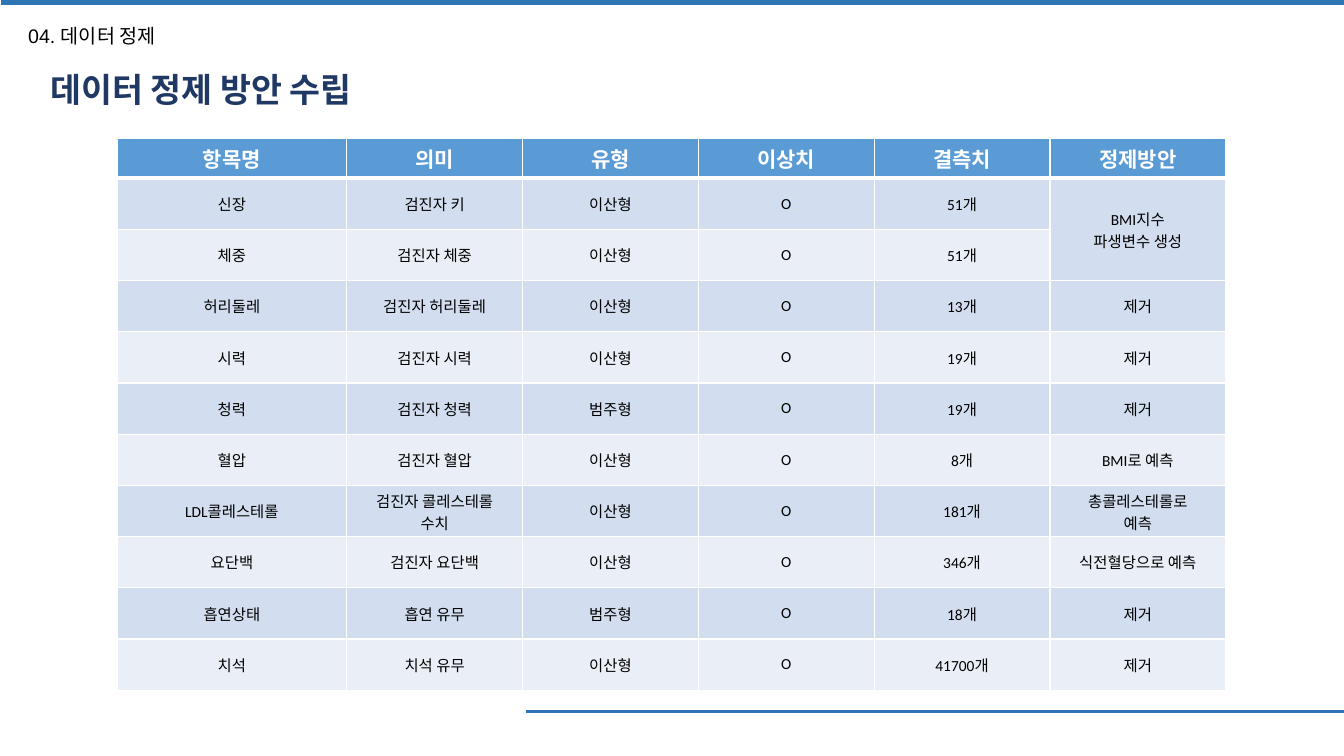
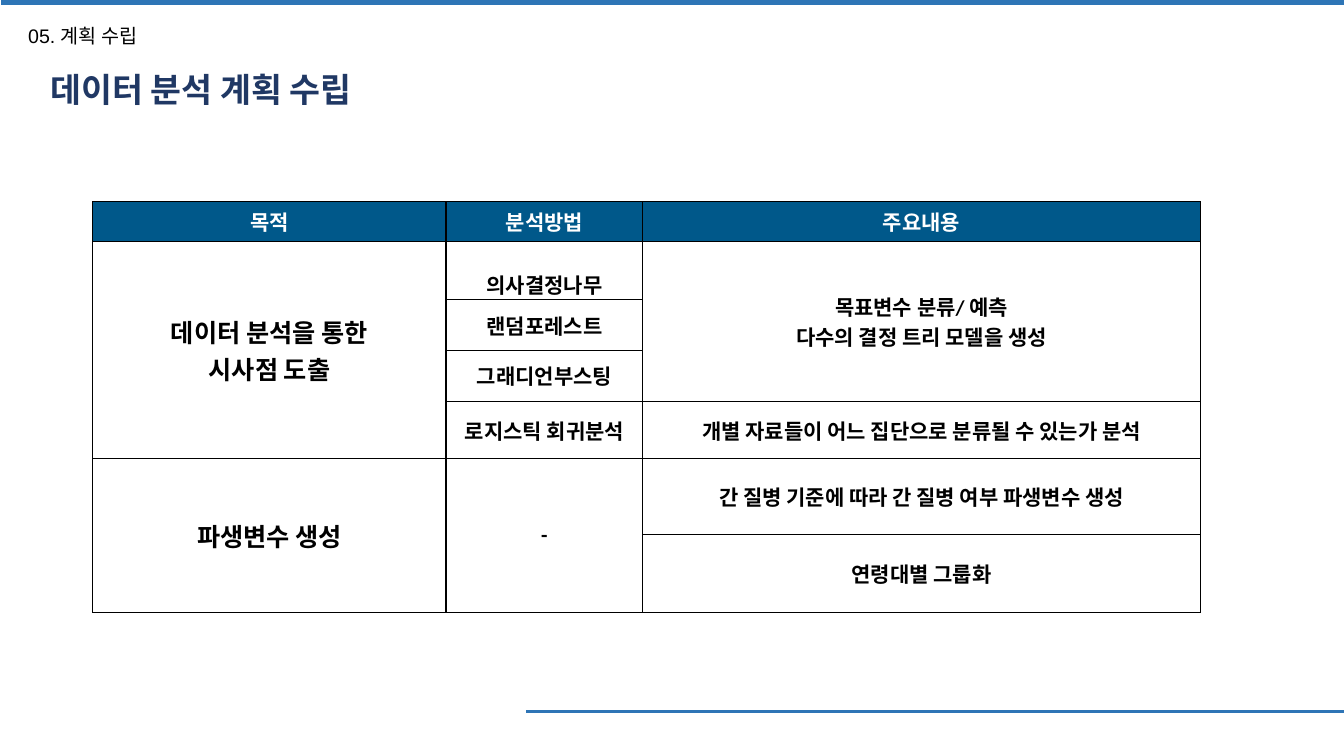
from dataclasses import dataclass
from typing import Optional

import lxml.etree
import pptx
import pptx.dml.color
import pptx.enum.shapes
import pptx.enum.text
import pptx.oxml.ns
import pptx.util

Cm = pptx.util.Cm
Pt = pptx.util.Pt
qn = pptx.oxml.ns.qn

COLORS = {
    "title": "203864",
    "rule": "2E75B6",
    "text": "000000",
    "white": "FFFFFF",
    "cleaning_header": "5B9BD5",
    "band_dark": "D2DEEF",
    "band_light": "EAEFF7",
    "plan_header": "00588A",
}
SLIDE_WIDTH, SLIDE_HEIGHT = Cm(33.87), Cm(19.05)
TITLE_ONLY_LAYOUT = 5


@dataclass(frozen=True)
class Rule:
    """A horizontal line running to the right edge of the slide."""
    left: float
    y: float
    weight: float


@dataclass(frozen=True)
class TableDesign:
    left: float
    top: float
    columns: list[float]
    rows: list[float]
    header_fill: str
    body_fills: tuple[str, ...]
    border: str
    header_rule: float
    body_size: float
    body_bold: bool


RULES = [Rule(13.26, 17.93, 2.25), Rule(0.03, 0.05, 4.5)]

# Data cleaning table: None continues the cell above
CLEANING_ROWS = [
    ["항목명", "의미", "유형", "이상치", "결측치", "정제방안"],
    ["신장", "검진자 키", "이산형", "O", "51개", "BMI지수\n파생변수 생성"],
    ["체중", "검진자 체중", "이산형", "O", "51개", None],
    ["허리둘레", "검진자 허리둘레", "이산형", "O", "13개", "제거"],
    ["시력", "검진자 시력", "이산형", "O", "19개", "제거"],
    ["청력", "검진자 청력", "범주형", "O", "19개", "제거"],
    ["혈압", "검진자 혈압", "이산형", "O", "8개", "BMI로 예측"],
    ["LDL콜레스테롤", "검진자 콜레스테롤\n수치", "이산형", "O", "181개",
     "총콜레스테롤로\n예측"],
    ["요단백", "검진자 요단백", "이산형", "O", "346개", "식전혈당으로 예측"],
    ["흡연상태", "흡연 유무", "범주형", "O", "18개", "제거"],
    ["치석", "치석 유무", "이산형", "O", "41700개", "제거"],
]
CLEANING_DESIGN = TableDesign(
    left=2.95, top=3.48, columns=[5.79] + [4.43] * 5, rows=[1.01] + [1.29] * 10,
    header_fill="cleaning_header", body_fills=("band_dark", "band_light"),
    border="white", header_rule=3, body_size=11, body_bold=False)

# Analysis plan table
PLAN_ROWS = [
    ["목적", "분석방법", "주요내용"],
    ["데이터 분석을 통한\n시사점 도출", "의사결정나무",
     "목표변수 분류/ 예측\n다수의 결정 트리 모델을 생성"],
    [None, "랜덤포레스트", None],
    [None, "그래디언부스팅", None],
    [None, "로지스틱 회귀분석", "개별 자료들이 어느 집단으로 분류될 수 있는가 분석"],
    ["파생변수 생성", "-", "간 질병 기준에 따라 간 질병 여부 파생변수 생성"],
    [None, None, "연령대별 그룹화"],
]
PLAN_DESIGN = TableDesign(
    left=2.34, top=5.08, columns=[8.9, 4.96, 14.05],
    rows=[1.01, 1.46, 1.28, 1.28, 1.45, 1.91, 1.97],
    header_fill="plan_header", body_fills=("white",),
    border="text", header_rule=1, body_size=15, body_bold=True)


def rgb(name: str) -> pptx.dml.color.RGBColor:
    return pptx.dml.color.RGBColor.from_string(COLORS[name])


def format_text(frame, font: str, size: float, color: str, bold: bool,
                align=pptx.enum.text.PP_ALIGN.LEFT) -> None:
    for paragraph in frame.paragraphs:
        paragraph.alignment = align
        for run in paragraph.runs:
            run.font.name = font
            run.font.size = Pt(size)
            run.font.bold = bold
            run.font.color.rgb = rgb(color)


def add_rule(slide, rule: Rule) -> None:
    line = slide.shapes.add_connector(
        pptx.enum.shapes.MSO_CONNECTOR.STRAIGHT,
        Cm(rule.left), Cm(rule.y), SLIDE_WIDTH, Cm(rule.y))
    line.line.color.rgb = rgb("rule")
    line.line.width = Pt(rule.weight)
    lxml.etree.SubElement(line._element.spPr, qn("a:effectLst"))


def add_titled_slide(deck, section: str, title: str):
    slide = deck.slides.add_slide(deck.slide_layouts[TITLE_ONLY_LAYOUT])

    # Section label
    label = slide.shapes.add_textbox(Cm(0.46), Cm(0.48), Cm(4.32), Cm(0.86))
    label.text_frame.text = section
    format_text(label.text_frame, "Arial", 14, "text", False)

    # Title
    heading = slide.shapes.title
    heading.left, heading.top = Cm(1.02), Cm(1.6)
    heading.width, heading.height = Cm(19), Cm(1.27)
    frame = heading.text_frame
    frame.text = title
    frame.word_wrap = True
    frame.auto_size = pptx.enum.text.MSO_AUTO_SIZE.NONE
    frame.vertical_anchor = pptx.enum.text.MSO_ANCHOR.TOP
    format_text(frame, "Arial", 24, "title", True)

    for rule in RULES:
        add_rule(slide, rule)
    return slide


def set_borders(cell, color: str, bottom: float) -> None:
    properties = cell._tc.get_or_add_tcPr()
    weights = {"a:lnL": 1, "a:lnR": 1, "a:lnT": 1, "a:lnB": bottom}
    for position, (tag, weight) in enumerate(weights.items()):
        border = lxml.etree.Element(qn(tag), w=str(Pt(weight)))
        fill = lxml.etree.SubElement(border, qn("a:solidFill"))
        lxml.etree.SubElement(fill, qn("a:srgbClr"), val=COLORS[color])
        properties.insert(position, border)


def row_span(rows: list[list[Optional[str]]], row: int, column: int) -> int:
    span = 1
    while row + span < len(rows) and rows[row + span][column] is None:
        span += 1
    return span


def add_table(slide, rows: list[list[Optional[str]]], design: TableDesign):
    table = slide.shapes.add_table(
        len(rows), len(design.columns), Cm(design.left), Cm(design.top),
        Cm(sum(design.columns)), Cm(sum(design.rows))).table
    for column, width in zip(table.columns, design.columns):
        column.width = Cm(width)
    for row, height in zip(table.rows, design.rows):
        row.height = Cm(height)

    for r, texts in enumerate(rows):
        header = r == 0
        fill = design.header_fill if header else design.body_fills[(r - 1) % len(design.body_fills)]
        for c, text in enumerate(texts):
            cell = table.cell(r, c)
            cell.fill.solid()
            cell.fill.fore_color.rgb = rgb(fill)
            set_borders(cell, design.border, design.header_rule if header else 1)
            if text is None:
                continue
            span = row_span(rows, r, c)
            if span > 1:
                cell.merge(table.cell(r + span - 1, c))
            cell.margin_left = cell.margin_right = Cm(0.19)
            cell.margin_top = cell.margin_bottom = Cm(0.1)
            cell.vertical_anchor = pptx.enum.text.MSO_ANCHOR.MIDDLE
            cell.text_frame.text = text
            format_text(cell.text_frame, "Calibri", 15 if header else design.body_size,
                        "white" if header else "text", header or design.body_bold,
                        pptx.enum.text.PP_ALIGN.CENTER)
    return table


def main() -> None:
    deck = pptx.Presentation()
    deck.slide_width, deck.slide_height = SLIDE_WIDTH, SLIDE_HEIGHT

    cleaning = add_titled_slide(deck, "04. 데이터 정제", "데이터 정제 방안 수립")
    add_table(cleaning, CLEANING_ROWS, CLEANING_DESIGN)

    plan = add_titled_slide(deck, "05. 계획 수립", "데이터 분석 계획 수립")
    plan_table = add_table(plan, PLAN_ROWS, PLAN_DESIGN)

    # Purposes are set larger than the other cells
    for row in (1, 5):
        format_text(plan_table.cell(row, 0).text_frame, "Calibri", 18, "text", True,
                    pptx.enum.text.PP_ALIGN.CENTER)

    # The first method sits low in its cell
    first_method = plan_table.cell(1, 1)
    first_method.margin_top, first_method.margin_bottom = Cm(0.7), Cm(0)

    deck.save("out.pptx")


if __name__ == "__main__":
    main()
